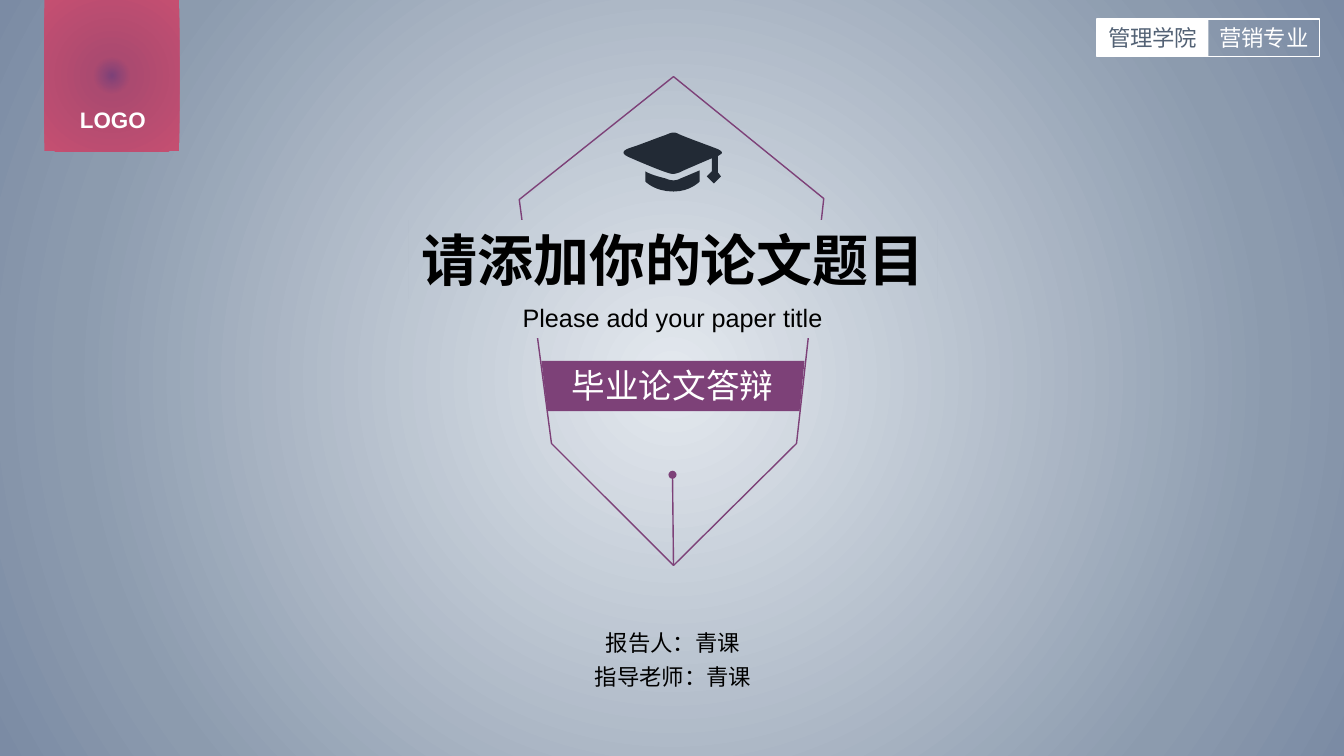
from lxml import etree
from pptx import Presentation
from pptx.dml.color import RGBColor
from pptx.enum.shapes import MSO_CONNECTOR, MSO_SHAPE
from pptx.enum.text import MSO_ANCHOR, MSO_AUTO_SIZE, PP_ALIGN
from pptx.oxml.ns import qn
from pptx.util import Inches, Pt

WHITE = RGBColor(0xFF, 0xFF, 0xFF)
BLACK = RGBColor(0, 0, 0)
PURPLE = RGBColor(0x7D, 0x41, 0x78)
SLATE = RGBColor(0x53, 0x62, 0x75)
NAVY = RGBColor(0x22, 0x2A, 0x35)
BACKDROP = [
    (0, RGBColor(0xE4, 0xE9, 0xEF)),
    (78, RGBColor(0x8C, 0x9B, 0xAE)),
    (100, RGBColor(0x7B, 0x8B, 0xA4)),
]
BANNER = [
    (0, PURPLE),
    (19, RGBColor(0xAB, 0x4A, 0x70)),
    (100, RGBColor(0xC5, 0x4F, 0x71)),
]

WIDTH, HEIGHT = 13.33, 7.5
TITLE = ("请添加你的论文题目", (4.05, 2.19, 5.25, 0.77), 40, True)
SUBTITLE = ("Please add your paper title", (4.95, 2.95, 3.44, 0.4), 18, False)
LABELS = [
    ("报告人：青课", (5.9, 6.19, 1.55, 0.37), 16, BLACK, False),
    ("指导老师：青课", (5.79, 6.53, 1.77, 0.37), 16, BLACK, False),
    ("LOGO", (0.69, 1, 0.86, 0.37), 16, WHITE, True),
    ("营销专业", (11.9, 0.19, 1.27, 0.37), 16, WHITE, False),
    ("毕业论文答辩", (5.56, 3.57, 2.22, 0.5), 24, WHITE, False),
]
TAG_LEFT, TAG_TOP, TAG_WIDTH, TAG_HEIGHT = 10.88, 0.19, 2.21, 0.37
PEN_TIP = (6.68, 5.61)
PEN_NIB = [(5.15, 1.98), (6.68, 0.76), (8.17, 1.97), (7.9, 4.4), PEN_TIP, (5.47, 4.4)]
RIBBON = [(5.37, 3.58), (7.98, 3.58), (7.93, 4.08), (5.43, 4.08)]
CAP_BOARD = [
    (7.12, 1.55), (7.12, 1.71), (7.15, 1.75), (7.08, 1.82), (7.01, 1.75),
    (7.06, 1.7), (7.06, 1.57),
    (6.85, 1.66, 6.78, 1.69, 6.74, 1.71),
    (6.69, 1.73, 6.66, 1.73, 6.61, 1.71),
    (6.57, 1.7, 6.35, 1.61, 6.24, 1.56),
    (6.17, 1.53, 6.16, 1.5, 6.24, 1.47),
    (6.34, 1.44, 6.51, 1.37, 6.6, 1.34),
    (6.65, 1.32, 6.68, 1.3, 6.73, 1.33),
    (6.82, 1.37, 7.02, 1.44, 7.12, 1.48),
    (7.2, 1.52, 7.14, 1.53, 7.12, 1.55),
]
CAP_BASE = [
    (6.75, 1.77),
    (6.8, 1.75, 6.87, 1.72, 6.94, 1.69),
    (6.94, 1.8),
    (6.94, 1.8, 6.85, 1.9, 6.68, 1.9),
    (6.49, 1.9, 6.4, 1.8, 6.4, 1.8),
    (6.4, 1.7),
    (6.45, 1.73, 6.52, 1.75, 6.6, 1.77),
    (6.64, 1.79, 6.7, 1.8, 6.75, 1.77),
]
CURVE_STEPS = 8


def inches(values):
    return [Inches(value) for value in values]


def radial_gradient(fill, element, stops):
    fill.gradient()
    gradient = element.find(".//" + qn("a:gradFill"))
    for child in list(gradient):
        gradient.remove(child)
    stop_list = etree.SubElement(gradient, qn("a:gsLst"))
    for position, color in stops:
        stop = etree.SubElement(stop_list, qn("a:gs"), pos=str(position * 1000))
        etree.SubElement(stop, qn("a:srgbClr"), val=str(color))
    circle = etree.SubElement(gradient, qn("a:path"))
    circle.set("path", "circle")
    etree.SubElement(circle, qn("a:fillToRect"), {side: "50000" for side in "ltrb"})


def paint(shape, fill=None, line=None):
    shape.shadow.inherit = False
    if fill is None:
        shape.fill.background()
    else:
        shape.fill.solid()
        shape.fill.fore_color.rgb = fill
    if line is None:
        shape.line.fill.background()
    else:
        shape.line.color.rgb = line
        shape.line.width = Pt(1)
    return shape


def write(shape, text, size, color, bold=False, font="Arial", wrap=False):
    frame = shape.text_frame
    frame.text = text
    frame.word_wrap = wrap
    frame.auto_size = MSO_AUTO_SIZE.NONE
    frame.vertical_anchor = MSO_ANCHOR.MIDDLE
    paragraph = frame.paragraphs[0]
    paragraph.alignment = PP_ALIGN.CENTER
    paragraph.space_before = Pt(0)
    run_font = paragraph.runs[0].font
    run_font.name, run_font.size, run_font.bold = font, Pt(size), bold
    run_font.color.rgb = color


def flatten(outline):
    points = [outline[0]]
    for segment in outline[1:]:
        if len(segment) == 2:
            points.append(segment)
            continue
        start = points[-1]
        controls = [start, segment[:2], segment[2:4], segment[4:]]
        for step in range(1, CURVE_STEPS + 1):
            t = step / CURVE_STEPS
            weights = [(1 - t) ** 3, 3 * t * (1 - t) ** 2, 3 * t * t * (1 - t), t ** 3]
            points.append(tuple(
                sum(weight * point[axis] for weight, point in zip(weights, controls))
                for axis in (0, 1)
            ))
    return points


def add_outline(shapes, *outlines):
    contours = [[inches(point) for point in flatten(outline)] for outline in outlines]
    builder = shapes.build_freeform(*contours[0][0])
    builder.add_line_segments(contours[0][1:], close=True)
    for contour in contours[1:]:
        builder.move_to(*contour[0])
        builder.add_line_segments(contour[1:], close=True)
    return builder.convert_to_shape()


def place_heading(shapes, placeholder, content):
    text, box, size, bold = content
    placeholder.left, placeholder.top, placeholder.width, placeholder.height = inches(box)
    write(placeholder, text, size, BLACK, bold)
    placeholder.element.set("useBgFill", "1")
    shapes.element.append(placeholder.element)


def main():
    presentation = Presentation()
    presentation.slide_width, presentation.slide_height = Inches(WIDTH), Inches(HEIGHT)
    slide = presentation.slides.add_slide(presentation.slide_layouts[0])
    shapes = slide.shapes
    radial_gradient(slide.background.fill, slide.element, BACKDROP)

    banner = paint(shapes.add_shape(MSO_SHAPE.RECTANGLE, *inches((0.44, 0, 1.34, 1.5))))
    radial_gradient(banner.fill, banner.element, BANNER)

    tag_box = inches((TAG_LEFT, TAG_TOP, TAG_WIDTH / 2, TAG_HEIGHT))
    college = paint(shapes.add_shape(MSO_SHAPE.RECTANGLE, *tag_box), WHITE)
    write(college, "管理学院", 16, SLATE, font="Noto Sans CJK SC")
    tag_box[2] = Inches(TAG_WIDTH)
    paint(shapes.add_shape(MSO_SHAPE.RECTANGLE, *tag_box), line=WHITE)

    paint(add_outline(shapes, PEN_NIB), line=PURPLE)
    paint(add_outline(shapes, RIBBON), PURPLE)
    place_heading(shapes, shapes.title, TITLE)
    place_heading(shapes, slide.placeholders[1], SUBTITLE)

    slit = shapes.add_connector(MSO_CONNECTOR.STRAIGHT, *inches(PEN_TIP + (6.67, 4.69)))
    slit.line.color.rgb = PURPLE
    slit.line.width = Pt(1)
    etree.SubElement(slit.element.spPr, qn("a:effectLst"))
    paint(shapes.add_shape(MSO_SHAPE.OVAL, *inches((6.63, 4.67, 0.08, 0.08))), PURPLE)
    paint(add_outline(shapes, CAP_BOARD, CAP_BASE), NAVY)

    for text, box, size, color, bold in LABELS:
        write(shapes.add_textbox(*inches(box)), text, size, color, bold)

    presentation.save("out.pptx")


if __name__ == "__main__":
    main()
